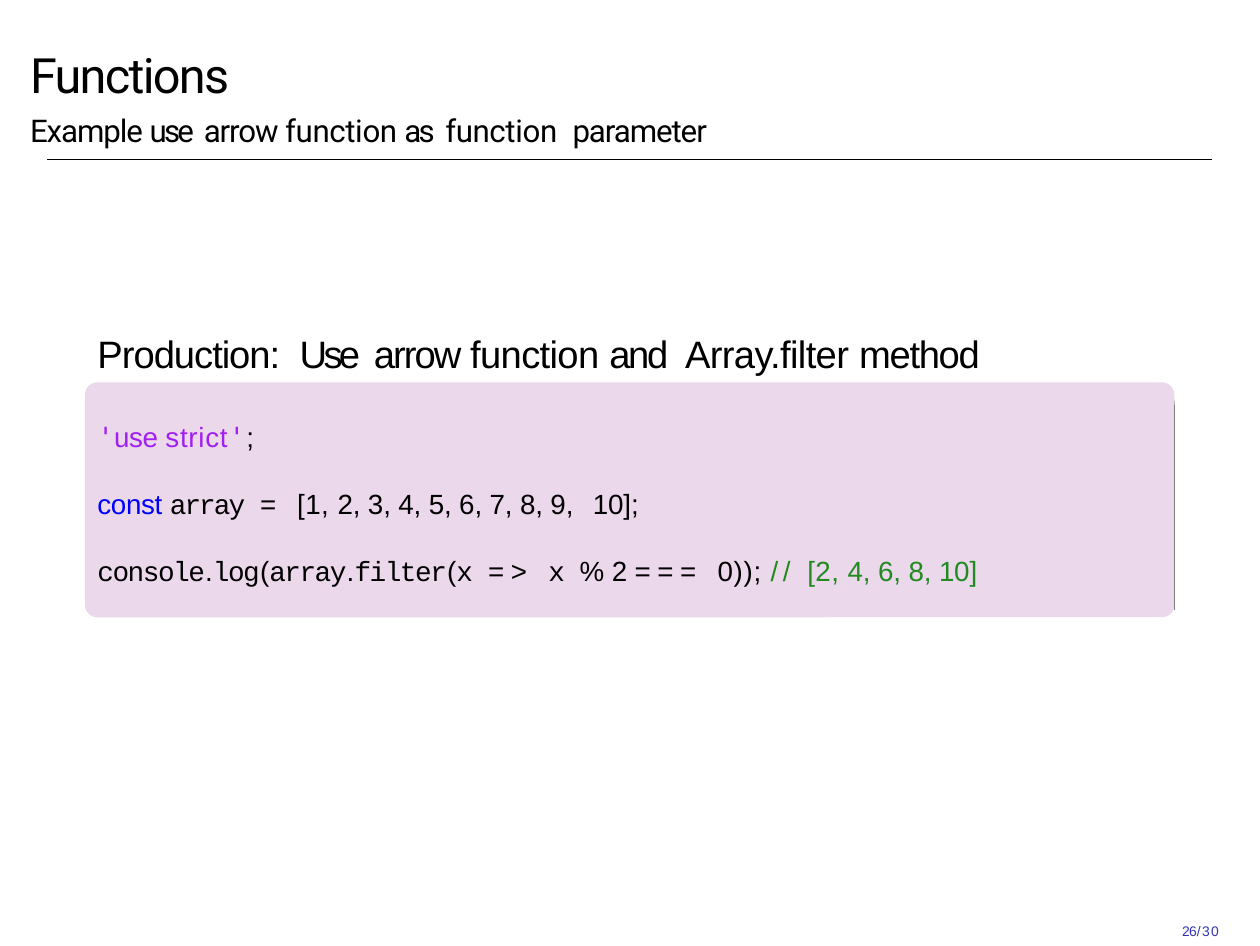
"""Build the slide on arrow functions used as function parameters."""
from lxml import etree
from pptx import Presentation
from pptx.dml.color import RGBColor
from pptx.enum.shapes import MSO_CONNECTOR, MSO_SHAPE
from pptx.enum.text import MSO_ANCHOR, MSO_AUTO_SIZE, PP_ALIGN
from pptx.oxml.ns import qn
from pptx.util import Inches, Pt

STRAIGHT = MSO_CONNECTOR.STRAIGHT
ROUNDED = MSO_SHAPE.ROUNDED_RECTANGLE
TOP = MSO_ANCHOR.TOP
LEFT = PP_ALIGN.LEFT
NO_AUTOFIT = MSO_AUTO_SIZE.NONE

BLACK = RGBColor(0x00, 0x00, 0x00)
LILAC = RGBColor(0xEB, 0xD8, 0xEB)
STRING = RGBColor(0x9F, 0x20, 0xEF)
KEYWORD = RGBColor(0x00, 0x00, 0xFF)
COMMENT = RGBColor(0x21, 0x8A, 0x21)
PAGE_BLUE = RGBColor(0x33, 0x33, 0xB2)
EDGE_GRAY = RGBColor(0x7F, 0x7F, 0x7F)
EDGE_FADES = [RGBColor(0xAF, 0xAF, 0xAF), RGBColor(0xCE, 0xCE, 0xCE),
              RGBColor(0xEF, 0xEF, 0xEF)]

TITLE_FONT = "Roboto"
BODY_FONT = "Arial"
CODE_FONT = "Courier New"
QUOTE_FONT = "DejaVu Sans Mono"

POINTS_PER_INCH = 72
PAGE_WIDTH = Inches(363 / POINTS_PER_INCH)
PAGE_HEIGHT = Inches(272.5 / POINTS_PER_INCH)
CARD_LEFT, CARD_TOP, CARD_WIDTH, CARD_HEIGHT = 0.34, 1.53, 4.36, 0.94
CARD_RADIUS = 0.05

TITLE = [("Functions", -0.5)]
SUBTITLE = [("Example ", -0.3), ("use", -0.8), (" ", 0.6), ("arrow ", -0.3),
            ("function ", -0.1), ("as", -0.8), (" ", 0.8),
            ("function", -0.1), (" ", 2.2), ("parameter", -0.3)]
HEADING = [("Production:", -0.3), (" ", 2.5), ("Use", -1.1), (" ", 0.9),
           ("arrow ", -0.6), ("function ", -0.2), ("and", -0.7), (" ", 1.7),
           ("Array.filter ", -0.2), ("method", -0.4)]
CODE_LINES = [
    [("'", -0.2, STRING, QUOTE_FONT), ("use ", -0.15, STRING),
     ("strict", 0.2, STRING), ("'", 0.3, STRING, QUOTE_FONT), (";", 0.2)],
    [("const ", -0.1, KEYWORD), ("array ", -0.6, BLACK, CODE_FONT),
     ("= ", 1.9), ("[1, ", 0.1), ("2, 3, 4, 5, 6, 7, 8, 9,", -0.05),
     (" ", 3.3), ("10];", -0.05)],
    [("console", -0.45, BLACK, CODE_FONT), (".", -0.45),
     ("log", -0.45, BLACK, CODE_FONT), ("(", -0.45),
     ("array", -0.45, BLACK, CODE_FONT), (".", -0.45),
     ("filter", -0.45, BLACK, CODE_FONT), ("(", -0.45),
     ("x ", -0.45, BLACK, CODE_FONT), ("=> ", 1.9),
     ("x ", -0.6, BLACK, CODE_FONT), ("% ", -0.1), ("2 ", -0.2),
     ("=== ", 1.9), ("0)); ", 0.2), ("// ", 1.3, COMMENT),
     ("[2, ", 0.1, COMMENT), ("4, 6, 8, 10]", -0.05, COMMENT)],
]
PAGE_NUMBER = [("26", -0.1), ("/3", 0.4), ("0", -0.1)]


def prepare_frame(shape):
    """Remove margins and return the text frame of a shape."""
    frame = shape.text_frame
    frame.margin_left = frame.margin_right = 0
    frame.margin_top = frame.margin_bottom = 0
    frame.word_wrap = True
    frame.auto_size = NO_AUTOFIT
    frame.vertical_anchor = TOP
    return frame


def add_text_box(page, left, top, width, height):
    """Add a text box without margins and return its frame."""
    return prepare_frame(page.shapes.add_textbox(
        Inches(left), Inches(top), Inches(width), Inches(height)))


def add_span(para, text, tracking, color=None, font=None):
    """Add a run with its letter spacing and optional colour and font."""
    span = para.add_run()
    span.text = text
    span._r.get_or_add_rPr().set("spc", str(round(tracking * 100)))
    if color is not None:
        span.font.color.rgb = color
    if font:
        span.font.name = font


def fill_paragraph(para, spans, size, font=BODY_FONT, color=BLACK, before=0):
    """Format a paragraph and add its runs."""
    para.alignment = LEFT
    if before:
        para.space_before = Pt(before)
    para.font.name = font
    para.font.size = Pt(size)
    para.font.color.rgb = color
    for span in spans:
        add_span(para, *span)


def add_line(page, start, end, color):
    """Add a thin straight line between two points."""
    line = page.shapes.add_connector(
        STRAIGHT, *(Inches(value) for value in (*start, *end)))
    line.line.color.rgb = color
    line.line.width = Pt(0.25)
    etree.SubElement(line._element.spPr, qn("a:effectLst"))


def add_title(page):
    """Fill the title placeholder and rule it off."""
    title = page.shapes.title
    title.left, title.top = Inches(0.12), Inches(0.18)
    title.width, title.height = Inches(4.81), Inches(0.42)
    frame = prepare_frame(title)
    fill_paragraph(frame.paragraphs[0], TITLE, 14, TITLE_FONT)
    fill_paragraph(frame.add_paragraph(), SUBTITLE, 9, TITLE_FONT, before=2.2)
    add_line(page, (0.19, 0.64), (4.85, 0.64), BLACK)


def add_code_card(page):
    """Add the rounded code background with its fading right edge."""
    card = page.shapes.add_shape(
        ROUNDED, Inches(CARD_LEFT), Inches(CARD_TOP),
        Inches(CARD_WIDTH), Inches(CARD_HEIGHT))
    card.adjustments[0] = CARD_RADIUS / CARD_HEIGHT
    card.shadow.inherit = False
    card.fill.solid()
    card.fill.fore_color.rgb = LILAC
    card.line.fill.background()

    right, bottom = CARD_LEFT + CARD_WIDTH, 1.62
    add_line(page, (right, 2.44), (right, bottom), EDGE_GRAY)
    for shade in EDGE_FADES:
        top = bottom - 0.01
        add_line(page, (right, bottom), (right, top), shade)
        bottom = top


def add_code(page):
    """Add the heading and the code lines below it."""
    frame = add_text_box(page, 0.39, 1.32, 4.2, 1.03)
    fill_paragraph(frame.paragraphs[0], HEADING, 11)
    for index, spans in enumerate(CODE_LINES):
        fill_paragraph(frame.add_paragraph(), spans, 8,
                       before=9.7 if index else 12.6)


def add_page_number(page):
    """Add the page number in the lower right corner."""
    frame = add_text_box(page, 4.73, 3.69, 0.25, 0.08)
    fill_paragraph(frame.paragraphs[0], PAGE_NUMBER, 4, color=PAGE_BLUE)


def main():
    """Build and save the deck."""
    deck = Presentation()
    deck.slide_width = PAGE_WIDTH
    deck.slide_height = PAGE_HEIGHT
    page = deck.slides.add_slide(deck.slide_layouts[5])
    add_title(page)
    add_code_card(page)
    add_code(page)
    add_page_number(page)
    deck.save("out.pptx")


if __name__ == "__main__":
    main()
